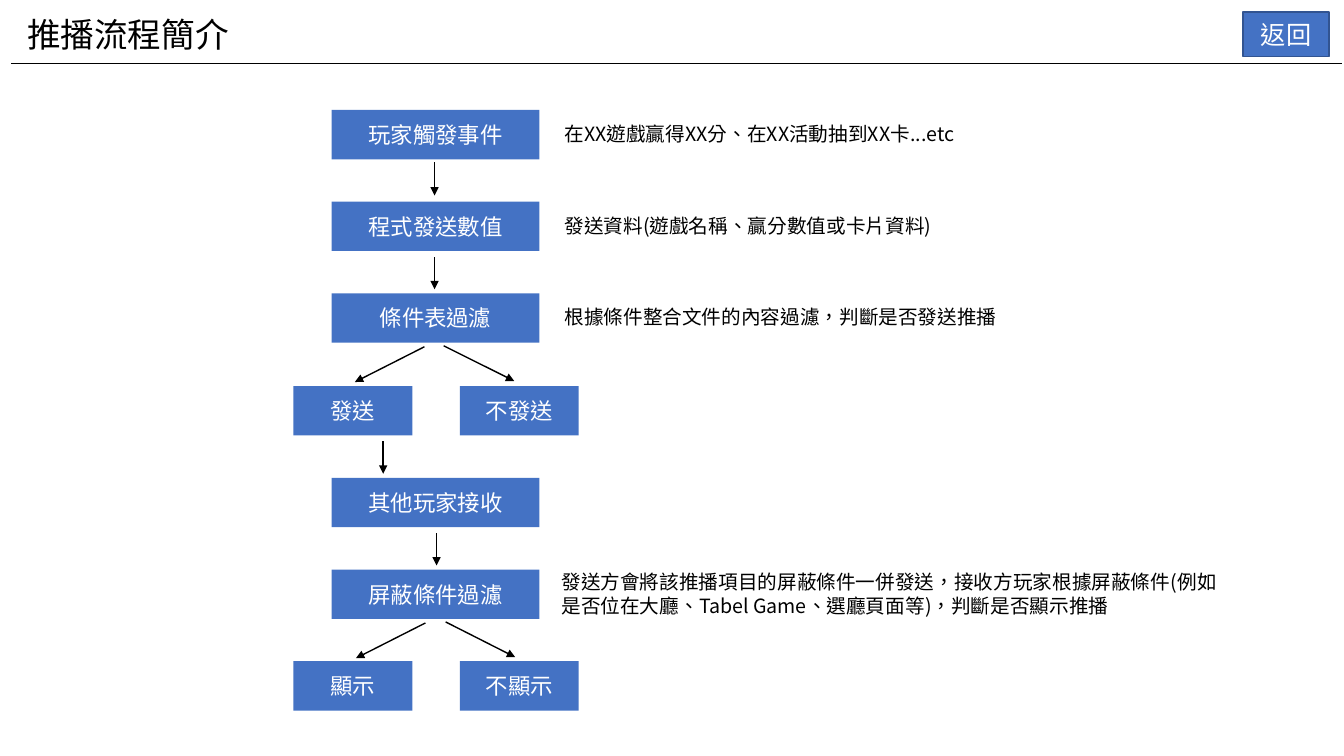
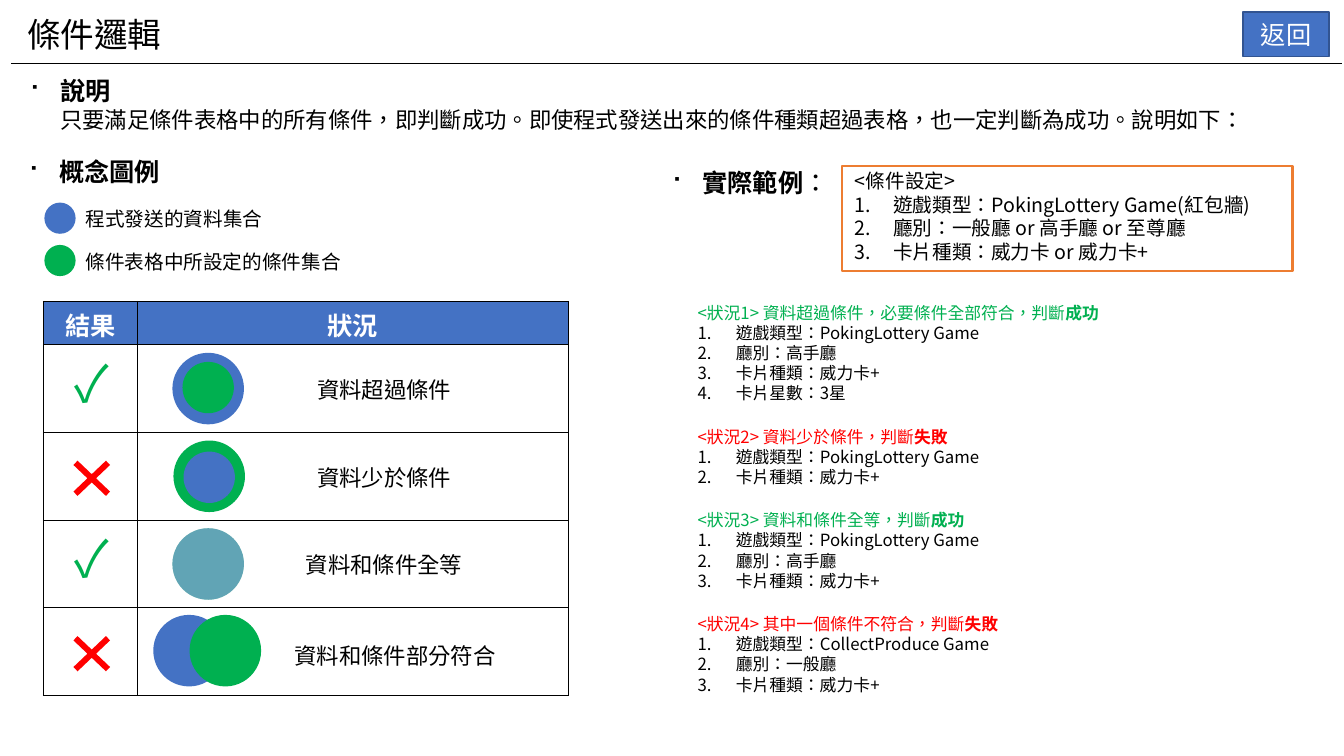
from dataclasses import dataclass

from lxml.etree import SubElement
from pptx import Presentation
from pptx.dml.color import RGBColor
from pptx.enum.shapes import MSO_CONNECTOR as Connector, MSO_SHAPE as Preset
from pptx.enum.text import MSO_ANCHOR as Anchor, MSO_AUTO_SIZE as AutoSize, PP_ALIGN as Align
from pptx.oxml.ns import qn
from pptx.util import Emu, Pt

PX = 9144
FONT = "Noto Sans CJK JP"
CHECK_FONT = "Noto Sans CJK KR"
BLACK, WHITE = "000000", "FFFFFF"
BLUE, DARK_BLUE = "4472C4", "325491"
GREEN, RED, ORANGE = "00B050", "FF0000", "ED7D31"
SQUARE, NUMBER = "square", "number"


@dataclass(frozen=True)
class Step:
    text: str
    row: int
    left: int = 329
    width: int = 206


@dataclass(frozen=True)
class Arrow:
    start: tuple[int, int]
    end: tuple[int, int]


@dataclass(frozen=True)
class Note:
    text: str
    left: int
    top: int
    width: int
    height: int = 34


@dataclass(frozen=True)
class Circle:
    left: int
    top: int
    size: int
    color: str
    opacity: int = 100


@dataclass(frozen=True)
class Outcome:
    label: str
    label_left: int
    label_top: int
    success: bool
    circles: tuple[Circle, ...]


@dataclass(frozen=True)
class Situation:
    heading: str
    success: bool
    items: tuple[str, ...]


STEPS = (
    Step("玩家觸發事件", 0),
    Step("程式發送數值", 1),
    Step("條件表過濾", 2),
    Step("發送", 3, 291, 118),
    Step("不發送", 3, 456, 118),
    Step("其他玩家接收", 4),
    Step("屏蔽條件過濾", 5),
    Step("顯示", 6, 291, 118),
    Step("不顯示", 6, 456, 118),
)
ARROWS = (
    Arrow((431, 161), (431, 194)),
    Arrow((431, 255), (431, 287)),
    Arrow((421, 344), (352, 379)),
    Arrow((440, 343), (510, 378)),
    Arrow((380, 438), (380, 470)),
    Arrow((433, 529), (433, 561)),
    Arrow((422, 618), (353, 653)),
    Arrow((442, 617), (511, 652)),
)
NOTES = (
    Note("在XX遊戲贏得XX分、在XX活動抽到XX卡...etc", 550, 116, 423),
    Note("發送資料(遊戲名稱、贏分數值或卡片資料)", 550, 207, 508),
    Note("根據條件整合文件的內容過濾，判斷是否發送推播", 550, 298, 508),
    Note("發送方會將該推播項目的屏蔽條件一併發送，接收方玩家根據屏蔽條件"
         "(例如是否位在大廳、Tabel Game、選廳頁面等)，判斷是否顯示推播", 547, 561, 673, 57),
)
LEGEND = (
    (Circle(44, 201, 31, BLUE), Note("程式發送的資料集合", 75, 200, 262)),
    (Circle(44, 243, 31, GREEN), Note("條件表格中所設定的條件集合", 75, 243, 320)),
)
OUTCOMES = (
    Outcome("資料超過條件", 263, 368, True,
            (Circle(171, 350, 71, BLUE), Circle(181, 359, 51, GREEN))),
    Outcome("資料少於條件", 263, 456, False,
            (Circle(172, 437, 71, GREEN), Circle(182, 448, 51, BLUE))),
    Outcome("資料和條件全等", 263, 542, True,
            (Circle(171, 524, 71, GREEN, 50), Circle(171, 524, 71, BLUE, 50))),
    Outcome("資料和條件部分符合", 274, 632, False,
            (Circle(152, 610, 71, BLUE), Circle(188, 610, 71, GREEN))),
)
LOTTERY = "遊戲類型：PokingLottery Game"
PLUS_CARD = "卡片種類：威力卡+"
SETTINGS = (LOTTERY + "(紅包牆)", "廳別：一般廳 or 高手廳 or 至尊廳", "卡片種類：威力卡 or 威力卡+")
SITUATIONS = (
    Situation("<狀況1> 資料超過條件，必要條件全部符合，判斷", True,
              (LOTTERY, "廳別：高手廳", PLUS_CARD, "卡片星數：3星")),
    Situation("<狀況2> 資料少於條件，判斷", False, (LOTTERY, PLUS_CARD)),
    Situation("<狀況3> 資料和條件全等，判斷", True, (LOTTERY, "廳別：高手廳", PLUS_CARD)),
    Situation("<狀況4> 其中一個條件不符合，判斷", False,
              ("遊戲類型：CollectProduce Game", "廳別：一般廳", PLUS_CARD)),
)


def px(*values: int) -> list[Emu]:
    return [Emu(value * PX) for value in values]


def rgb(color: str) -> RGBColor:
    return RGBColor.from_string(color)


def write(frame, text: str, *, size: int = 14, color: str = BLACK, bold: bool = False,
          align=Align.LEFT, bullet: str = "", tail: str = "", font: str = FONT) -> None:
    paragraph = frame.paragraphs[-1]
    if paragraph.runs:
        paragraph = frame.add_paragraph()
    paragraph.alignment = align
    if bullet:
        properties = paragraph._p.get_or_add_pPr()
        indent = (31 if bullet == SQUARE else 38) * PX
        properties.set("marL", str(indent))
        properties.set("indent", str(-indent))
        if bullet == SQUARE:
            SubElement(properties, qn("a:buFont")).set("typeface", "Wingdings")
            SubElement(properties, qn("a:buChar")).set("char", "■")
        else:
            SubElement(properties, qn("a:buFont")).set("typeface", "+mj-lt")
            SubElement(properties, qn("a:buAutoNum")).set("type", "arabicPeriod")
    for part, heavy in ((text, bold), (tail, not bold)):
        if part:
            run = paragraph.add_run()
            run.text = part
            run.font.size = Pt(size)
            run.font.bold = heavy
            run.font.color.rgb = rgb(color)
            run.font.name = font
            run_properties = run._r.get_or_add_rPr()
            run_properties.set("lang", "zh-TW")
            SubElement(run_properties, qn("a:ea")).set("typeface", font)


def add_frame(slide, left: int, top: int, width: int, height: int):
    frame = slide.shapes.add_textbox(*px(left, top, width, height)).text_frame
    frame.word_wrap = True
    frame.auto_size = AutoSize.SHAPE_TO_FIT_TEXT
    return frame


def add_note(slide, note: Note, **style) -> None:
    write(add_frame(slide, note.left, note.top, note.width, note.height), note.text, **style)


def add_preset(slide, preset, left: int, top: int, width: int, height: int, *,
               fill: str = "", line: str = "", line_width: float = 1, opacity: int = 100):
    shape = slide.shapes.add_shape(preset, *px(left, top, width, height))
    shape.shadow.inherit = False
    if fill:
        shape.fill.solid()
        shape.fill.fore_color.rgb = rgb(fill)
        if opacity < 100:
            color = shape._element.spPr.find(".//" + qn("a:srgbClr"))
            SubElement(color, qn("a:alpha")).set("val", str(opacity * 1000))
    else:
        shape.fill.background()
    if line:
        shape.line.color.rgb = rgb(line)
        shape.line.width = Pt(line_width)
    else:
        shape.line.fill.background()
    return shape


def add_label_box(slide, text: str, *place: int, size: int = 16, line: str = "") -> None:
    shape = add_preset(slide, Preset.RECTANGLE, *place, fill=BLUE, line=line)
    shape.text_frame.vertical_anchor = Anchor.MIDDLE
    write(shape.text_frame, text, size=size, color=WHITE, align=Align.CENTER)


def add_line(slide, start: tuple[int, int], end: tuple[int, int], width: float,
             arrow: bool = False) -> None:
    connector = slide.shapes.add_connector(Connector.STRAIGHT, *px(*start, *end))
    connector.line.color.rgb = rgb(BLACK)
    connector.line.width = Pt(width)
    if arrow:
        SubElement(connector.line._get_or_add_ln(), qn("a:tailEnd")).set("type", "triangle")
    SubElement(connector._element.spPr, qn("a:effectLst"))


def add_circle(slide, circle: Circle) -> None:
    add_preset(slide, Preset.OVAL, circle.left, circle.top, circle.size, circle.size,
               fill=circle.color, opacity=circle.opacity)


def add_base_slide(presentation, title: str):
    slide = presentation.slides.add_slide(presentation.slide_layouts[6])
    add_note(slide, Note(title, 17, 9, 739, 50), size=24)
    add_line(slide, (11, 63), (1331, 63), 0.5)
    add_label_box(slide, "返回", 1233, 12, 85, 44, size=18, line=DARK_BLUE)
    return slide


def format_cell(cell, fill: str = "") -> None:
    properties = cell._tc.get_or_add_tcPr()
    for side in ("lnL", "lnR", "lnT", "lnB"):
        border = SubElement(properties, qn(f"a:{side}"))
        border.set("w", str(Pt(0.75)))
        SubElement(SubElement(border, qn("a:solidFill")), qn("a:srgbClr")).set("val", BLACK)
    cell.vertical_anchor = Anchor.MIDDLE
    if fill:
        cell.fill.solid()
        cell.fill.fore_color.rgb = rgb(fill)
    else:
        cell.fill.background()


def add_outcome_table(slide) -> None:
    table = slide.shapes.add_table(len(OUTCOMES) + 1, 2, *px(43, 299, 521, 391)).table
    table.horz_banding = False
    for column, width in zip(table.columns, px(93, 428)):
        column.width = width
    for row, height in zip(table.rows, px(43, *[87] * len(OUTCOMES))):
        row.height = height
    for cell in table.iter_cells():
        format_cell(cell)
    for column, heading in enumerate(("結果", "狀況")):
        cell = table.cell(0, column)
        cell.fill.solid()
        cell.fill.fore_color.rgb = rgb(BLUE)
        write(cell.text_frame, heading, size=18, color=WHITE, bold=True, align=Align.CENTER)


def add_outcomes(slide) -> None:
    add_outcome_table(slide)
    for row, outcome in enumerate(OUTCOMES):
        for circle in outcome.circles:
            add_circle(slide, circle)
        add_note(slide, Note(outcome.label, outcome.label_left, outcome.label_top, 236, 37),
                 size=16, align=Align.CENTER)
        top = 344 + 87 * row
        if outcome.success:
            add_note(slide, Note("✓", 36, top, 109, 71), size=36, color=GREEN,
                     align=Align.CENTER, font=CHECK_FONT)
        else:
            cross = add_preset(slide, Preset.MATH_MULTIPLY, 60, top + 14, 62, 59, fill=RED)
            cross.adjustments[0] = 0.1


def add_situations(slide) -> None:
    top = 295
    for situation in SITUATIONS:
        height = 11 + 20 * (len(situation.items) + 1)
        frame = add_frame(slide, 682, top, 534, height)
        write(frame, situation.heading, size=12, color=GREEN if situation.success else RED,
              tail="成功" if situation.success else "失敗")
        for item in situation.items:
            write(frame, item, size=12, bullet=NUMBER)
        top += height + 12


def build_flow_slide(presentation) -> None:
    slide = add_base_slide(presentation, "推播流程簡介")
    for step in STEPS:
        add_label_box(slide, step.text, step.left, round(109 + 91.2 * step.row), step.width, 49)
    for arrow in ARROWS:
        add_line(slide, arrow.start, arrow.end, 1, arrow=True)
    for note in NOTES:
        add_note(slide, note)


def build_logic_slide(presentation) -> None:
    slide = add_base_slide(presentation, "條件邏輯")
    for heading, left, top, tail in (("說明", 19, 70, ""), ("概念圖例", 18, 150, ""),
                                     ("實際範例", 656, 161, "：")):
        add_note(slide, Note(heading, left, top, 250, 40), size=18, bold=True,
                 bullet=SQUARE, tail=tail)
    add_note(slide, Note("只要滿足條件表格中的所有條件，即判斷成功。即使程式發送出來的條件種類超過表格，"
                         "也一定判斷為成功。說明如下：", 50, 100, 1203, 37), size=16)
    for circle, note in LEGEND:
        add_circle(slide, circle)
        add_note(slide, note)
    add_outcomes(slide)
    settings = add_frame(slide, 838, 163, 468, 104)
    write(settings, "<條件設定>")
    for setting in SETTINGS:
        write(settings, setting, bullet=NUMBER)
    add_preset(slide, Preset.RECTANGLE, 835, 165, 447, 104, line=ORANGE, line_width=1.5)
    add_situations(slide)


def main() -> None:
    presentation = Presentation()
    presentation.slide_width, presentation.slide_height = px(1333, 750)
    build_flow_slide(presentation)
    build_logic_slide(presentation)
    presentation.save("out.pptx")


if __name__ == "__main__":
    main()
